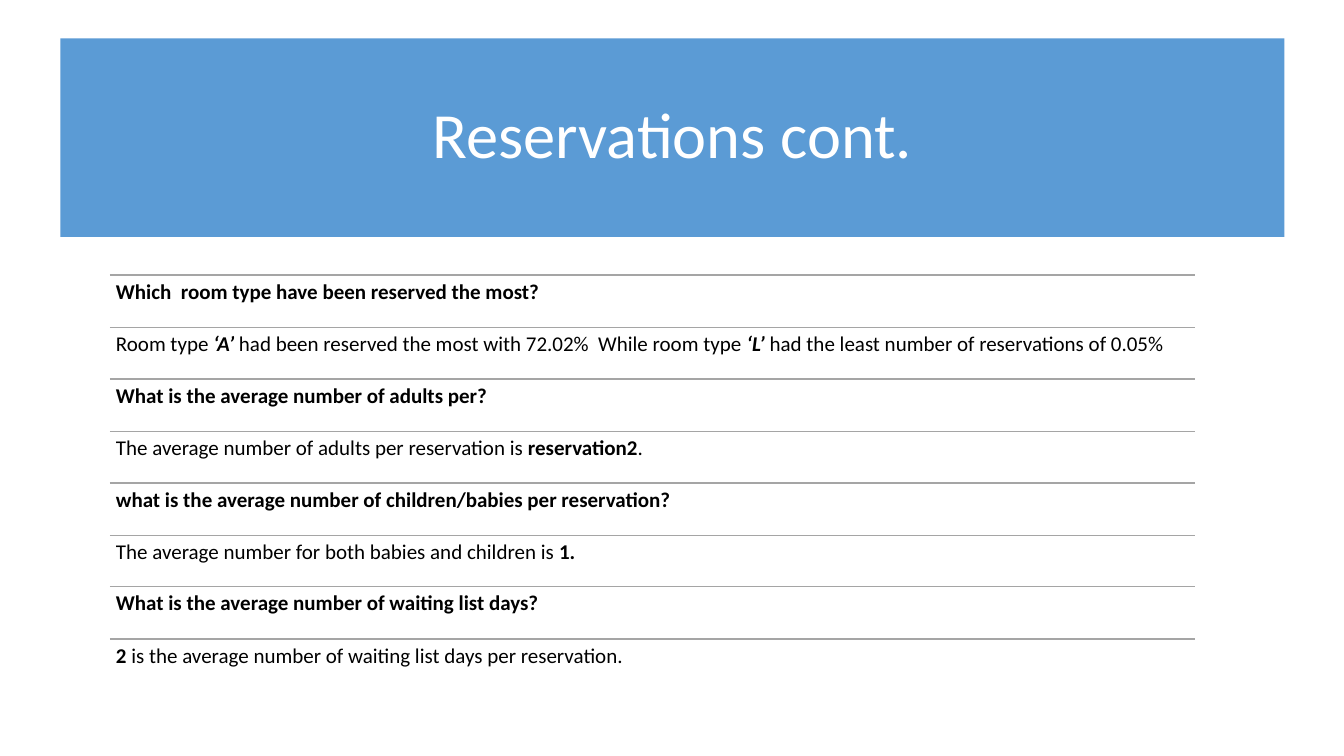
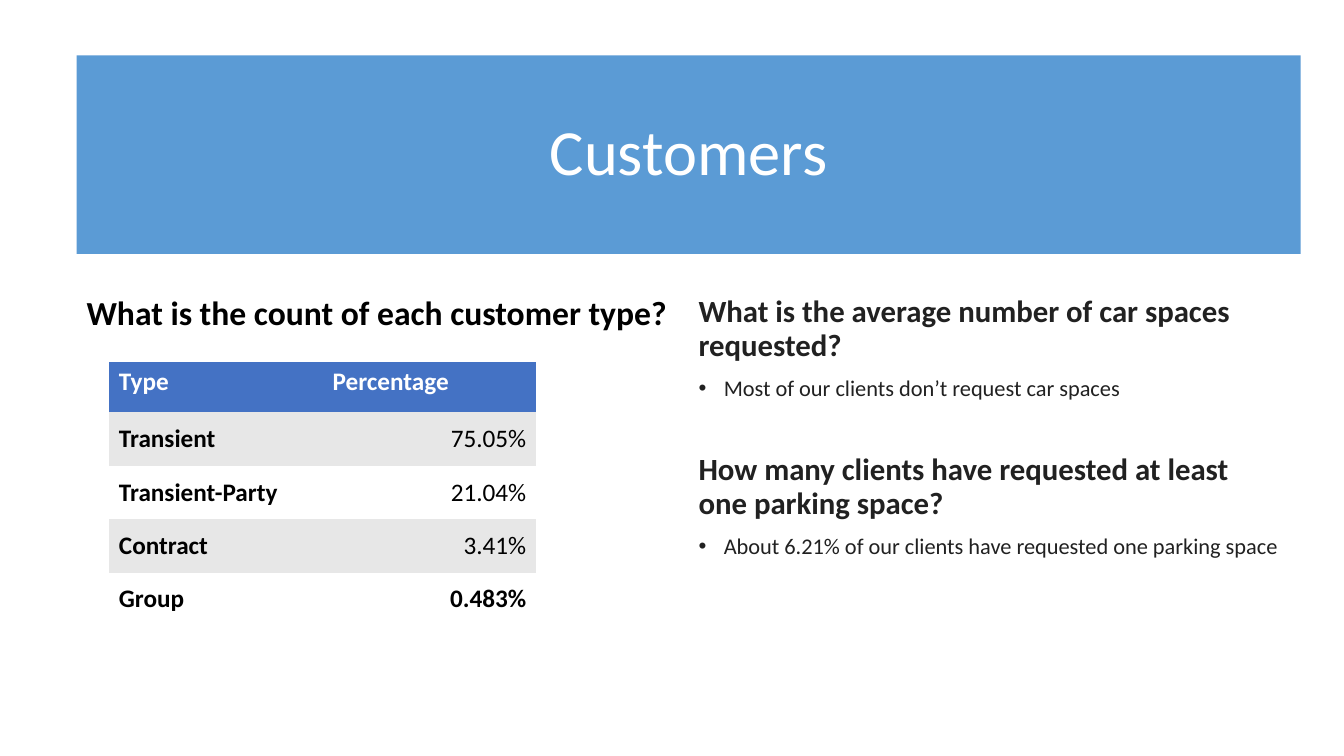
from lxml.etree import SubElement
from pptx import Presentation
from pptx.dml.color import RGBColor
from pptx.enum.shapes import MSO_CONNECTOR, MSO_SHAPE
from pptx.enum.text import MSO_ANCHOR as ANCHOR, PP_ALIGN as ALIGN
from pptx.oxml.ns import qn
from pptx.util import Emu, Pt

FONT = "Calibri"
COLORS = {
    "band": "5B9BD5",
    "header": "4472C4",
    "stripe": "E7E7E7",
    "white": "FFFFFF",
    "rule": "A5A5A5",
    "black": "000000",
    "text": "212121",
}
NO_GRID_STYLE = "{2D5ABB26-0587-4C30-8999-92F81FD0307C}"

# Each line is a list of (text, style) runs: b is bold, i is italic
RESERVATIONS = [
    [("Which  room type have been reserved the most?", "b")],
    [("Room type ", ""), ("‘A’", "bi"),
     (" had been reserved the most with 72.02%  While room type ", ""),
     ("‘L’ ", "bi"), ("had the least number of reservations of 0.05%", "")],
    [("What is the average number of adults per?", "b")],
    [("The average number of adults per reservation is ", ""),
     ("reservation2", "b"), (".", "")],
    [("what is the average number of children/babies per reservation?", "b")],
    [("The average number for both babies and children is ", ""), ("1.", "b")],
    [("What is the average number of waiting list days?", "b")],
    [("2 ", "b"),
     ("is the average number of waiting list days per reservation.", "")],
]
CUSTOMER_TYPES = [
    ("Type", "Percentage"),
    ("Transient", "75.05%"),
    ("Transient-Party", "21.04%"),
    ("Contract", "3.41%"),
    ("Group", "0.483%"),
]
PARKING = [
    ("What is the average number of car spaces requested?",
     "Most of our clients don’t request car spaces"),
    ("How many clients have requested at least one parking space?",
     "About 6.21% of our clients have requested one parking space"),
]


def px(n):
    """100 px make one inch."""
    return Emu(n * 9144)


def rgb(name):
    return RGBColor.from_string(COLORS[name])


def fill_paragraph(p, runs, size, color, align=ALIGN.LEFT, spacing=0.9, before=0):
    p.alignment = align
    p.line_spacing = spacing
    p.space_before = Pt(before)
    for text, style in runs:
        r = p.add_run()
        r.text = text
        r.font.name, r.font.size = FONT, Pt(size)
        r.font.bold, r.font.italic = "b" in style, "i" in style
        r.font.color.rgb = rgb(color)


def add_bullet(p):
    pPr = p._p.get_or_add_pPr()
    pPr.set("marL", str(px(25)))
    pPr.set("indent", str(px(-25)))
    SubElement(pPr, qn("a:buFont")).set("typeface", "Arial")
    SubElement(pPr, qn("a:buChar")).set("char", "•")


def add_text(slide, left, top, width, height, inset=None):
    tf = slide.shapes.add_textbox(px(left), px(top), px(width), px(height)).text_frame
    tf.word_wrap = True
    if inset is not None:
        tf.margin_left = tf.margin_right = px(inset)
        tf.margin_top = tf.margin_bottom = px(inset)
    return tf


def add_title_band(slide, left, top, title):
    sp = slide.shapes.add_shape(MSO_SHAPE.RECTANGLE, px(left), px(top), px(1214), px(197))
    sp.shadow.inherit = False
    sp.fill.solid()
    sp.fill.fore_color.rgb = rgb("band")
    sp.line.fill.background()
    tf = sp.text_frame
    tf.word_wrap = True
    tf.vertical_anchor = ANCHOR.MIDDLE
    fill_paragraph(tf.paragraphs[0], [(title, "")], 46, "white", ALIGN.CENTER)


def add_rule(slide, left, top, width):
    line = slide.shapes.add_connector(
        MSO_CONNECTOR.STRAIGHT, px(left), px(top), px(left + width), px(top))
    line.line.color.rgb = rgb("rule")
    line.line.width = Pt(1)
    SubElement(line._element.spPr, qn("a:effectLst"))


def add_ruled_list(slide, left, first, last, width, lines):
    """Rules spread evenly from first to last, a line of text under each."""
    step = (last - first) / (len(lines) - 1)
    for i, runs in enumerate(lines):
        top = first + round(i * step)
        add_rule(slide, left, top, width)
        tf = add_text(slide, left, top, width, round(step), inset=6)
        fill_paragraph(tf.paragraphs[0], runs, 15, "black")


def add_striped_table(slide, left, top, col_width, row_heights, rows):
    cols = len(rows[0])
    frame = slide.shapes.add_table(
        len(rows), cols, px(left), px(top), px(col_width * cols), px(sum(row_heights)))
    table = frame.table
    table._tbl.tblPr.find(qn("a:tableStyleId")).text = NO_GRID_STYLE
    for col in table.columns:
        col.width = px(col_width)
    for i, values in enumerate(rows):
        table.rows[i].height = px(row_heights[i])
        header, last = i == 0, i == len(rows) - 1
        fill = "header" if header else "stripe" if i % 2 else "white"
        for j, value in enumerate(values):
            cell = table.cell(i, j)
            cell.fill.solid()
            cell.fill.fore_color.rgb = rgb(fill)
            cell.vertical_anchor = ANCHOR.TOP if header else ANCHOR.MIDDLE
            style = "b" if header or last or j == 0 else ""
            fill_paragraph(
                cell.text_frame.paragraphs[0], [(value, style)], 18,
                "white" if header else "black",
                ALIGN.RIGHT if j and not header else ALIGN.LEFT, spacing=1.0)


def add_questions(slide, left, top, width, height, pairs):
    tf = add_text(slide, left, top, width, height)
    for i, (question, answer) in enumerate(pairs):
        p = tf.add_paragraph() if i else tf.paragraphs[0]
        fill_paragraph(p, [(question, "b")], 22, "text", before=38 if i else 10)
        p = tf.add_paragraph()
        fill_paragraph(p, [(answer, "")], 16, "text", before=10)
        add_bullet(p)


def main():
    prs = Presentation()
    prs.slide_width, prs.slide_height = px(1333), px(750)
    blank = prs.slide_layouts[6]

    # Reservations
    slide = prs.slides.add_slide(blank)
    add_title_band(slide, 60, 38, "Reservations cont.")
    add_ruled_list(slide, 109, 273, 634, 1076, RESERVATIONS)

    # Customers
    slide = prs.slides.add_slide(blank)
    add_title_band(slide, 76, 55, "Customers")
    tf = add_text(slide, 76, 289, 598, 60)
    fill_paragraph(tf.paragraphs[0], [("What is the count of each customer type?", "b")],
                   24, "black", before=10)
    add_striped_table(slide, 108, 359, 212, [50] + [53] * 4, CUSTOMER_TYPES)
    add_questions(slide, 683, 289, 598, 315, PARKING)

    prs.save("out.pptx")


if __name__ == "__main__":
    main()
